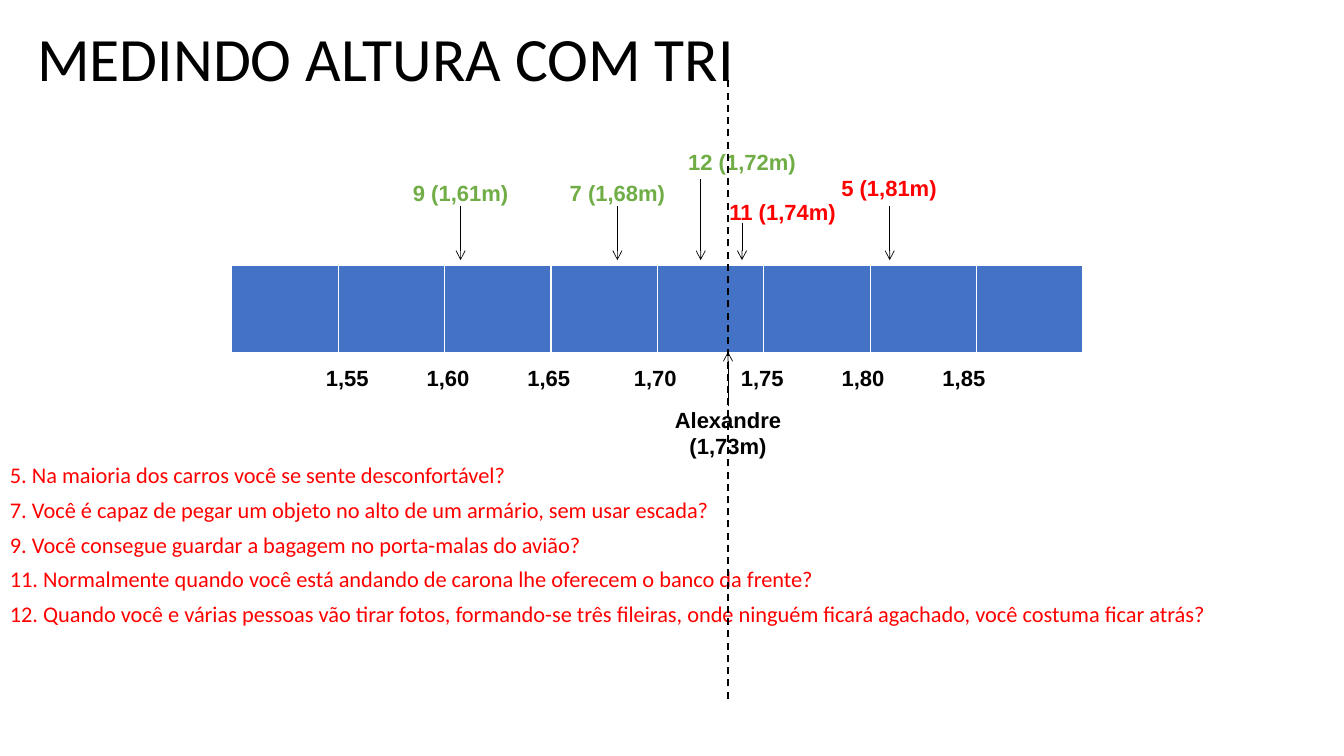
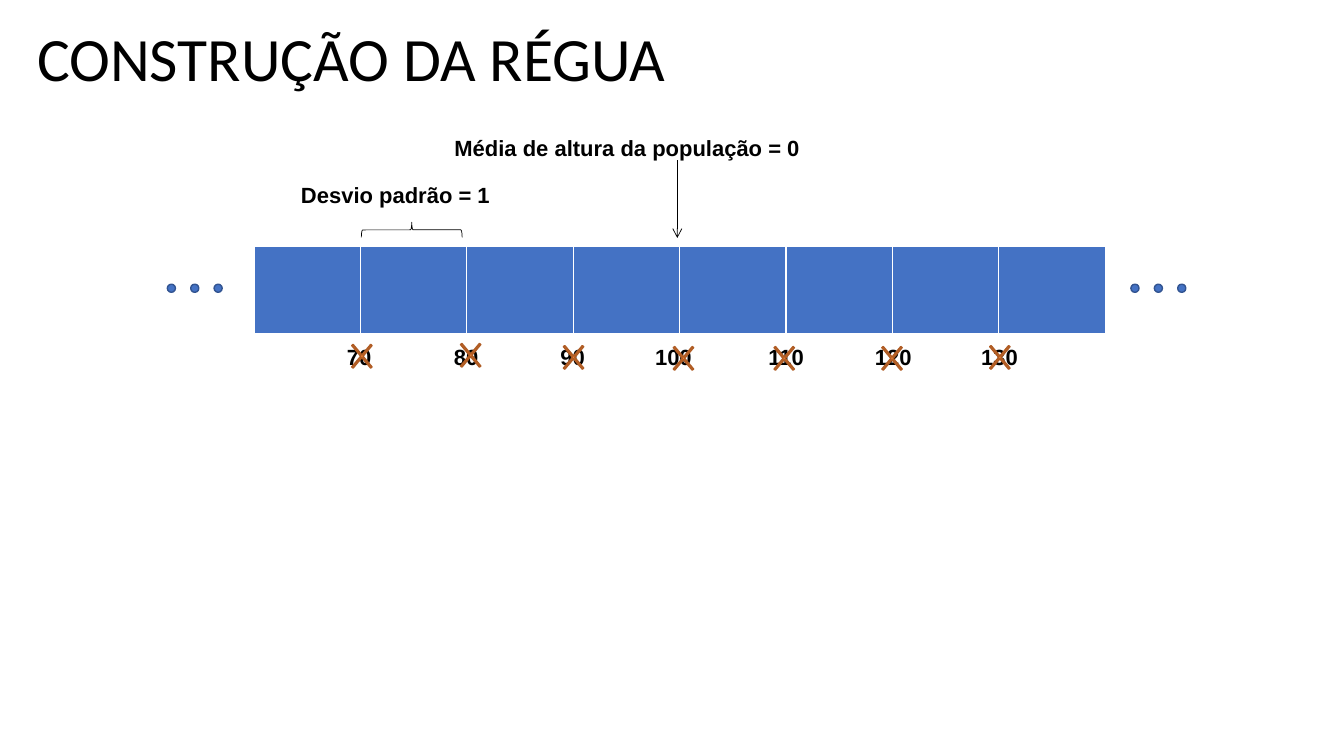
from pptx import Presentation
from pptx.dml.color import RGBColor
from pptx.enum.dml import MSO_LINE
from pptx.enum.shapes import MSO_CONNECTOR, MSO_SHAPE
from pptx.enum.text import MSO_ANCHOR, MSO_AUTO_SIZE, PP_ALIGN as ALIGN
from pptx.oxml.ns import qn
from pptx.util import Pt
from lxml.etree import SubElement

COLORS = {name: RGBColor.from_string(value) for name, value in {
    "black": "000000", "red": "FF0000", "green": "70AD47",
    "blue": "4472C4", "dark_blue": "325491",
    "orange": "ED7D31", "dark_orange": "AF5C24",
}.items()}

CELL_COUNT, CELL_WIDTH, RULER_HEIGHT = 8, 76, 62.6
LABEL_HEIGHT = 26


def write_text(slide, text, left, top, width, height, holder=None, font="Arial",
               size=15.7, bold=True, color="black", align=ALIGN.CENTER,
               anchor=MSO_ANCHOR.TOP, line_spacing=1.0, space_before=0):
    """Fill a placeholder, or a new text box, with one paragraph per line."""
    box = holder or slide.shapes.add_textbox(0, 0, 0, 0)
    box.left, box.top, box.width, box.height = map(Pt, (left, top, width, height))
    frame = box.text_frame
    frame.text = text
    frame.word_wrap = True
    frame.auto_size = MSO_AUTO_SIZE.NONE
    frame.vertical_anchor = anchor
    for number, paragraph in enumerate(frame.paragraphs):
        paragraph.alignment = align
        paragraph.line_spacing = line_spacing
        paragraph.space_before = Pt(space_before if number else 0)
        paragraph.font.name = font
        paragraph.font.size = Pt(size)
        paragraph.font.bold = bold
        paragraph.font.color.rgb = COLORS[color]


def add_vertical_line(slide, x, start, end, width=0.5, dash=None, arrow=True):
    line = slide.shapes.add_connector(
        MSO_CONNECTOR.STRAIGHT, Pt(x), Pt(start), Pt(x), Pt(end))
    line.line.color.rgb = COLORS["black"]
    line.line.width = Pt(width)
    if dash:
        line.line.dash_style = dash
    properties = line._element.spPr
    if arrow:
        SubElement(properties.find(qn("a:ln")), qn("a:tailEnd"), type="arrow")
    SubElement(properties, qn("a:effectLst"))


presentation = Presentation()
presentation.slide_width, presentation.slide_height = Pt(960), Pt(540)

# Title, ruler and scale of each slide: the scale pairs a label with its centre
slide_plans = [
    ("MEDINDO ALTURA COM TRI", 165.6, 189.4, 257,
     [("1,55", 248), ("1,60", 320), ("1,65", 392), ("1,70", 468),
      ("1,75", 544.5), ("1,80", 616.5), ("1,85", 688.5)]),
    ("CONSTRUÇÃO DA RÉGUA", 181.4, 175.7, 242,
     [("70", 256.5), ("80", 333), ("90", 409), ("100", 481),
      ("110", 561.5), ("120", 638), ("130", 714)]),
]
slides = []
for title, ruler_left, ruler_top, scale_top, scale in slide_plans:
    slide = presentation.slides.add_slide(presentation.slide_layouts[5])
    slides.append(slide)
    write_text(slide, title, 19.4, 15.8, 921.6, 56.9, holder=slide.shapes.title,
               font="Calibri", size=44, bold=False, align=ALIGN.LEFT,
               anchor=MSO_ANCHOR.MIDDLE, line_spacing=0.9)
    ruler = slide.shapes.add_table(
        1, CELL_COUNT, Pt(ruler_left), Pt(ruler_top),
        Pt(CELL_COUNT * CELL_WIDTH), Pt(RULER_HEIGHT)).table
    for cell in ruler.iter_cells():
        cell.fill.solid()
        cell.fill.fore_color.rgb = COLORS["blue"]
    for label, center in scale:
        write_text(slide, label, center - 30, scale_top, 60, LABEL_HEIGHT)
height_slide, ruler_slide = slides

# Slide 1: questions
questions = [
    "5. Na maioria dos carros você se sente desconfortável?",
    "7. Você é capaz de pegar um objeto no alto de um armário, sem usar escada?",
    "9. Você consegue guardar a bagagem no porta-malas do avião?",
    "11. Normalmente quando você está andando de carona lhe oferecem o banco da frente?",
    "12. Quando você e várias pessoas vão tirar fotos, formando-se três fileiras, "
    "onde ninguém ficará agachado, você costuma ficar atrás?",
]
write_text(height_slide, "\n".join(questions), 0, 328.3, 945.4, 124.6,
           font="Calibri", size=16, bold=False, color="red", align=ALIGN.JUSTIFY,
           line_spacing=0.9, space_before=7.5)

# Slide 1: items above the ruler (label, colour, label centre, top, arrow x, arrow start)
items = [
    ("9 (1,61m)", "green", 329, 124.6, 329, 147),
    ("7 (1,68m)", "green", 441, 124.6, 441, 147),
    ("12 (1,72m)", "green", 530, 102.2, 500.5, 128),
    ("11 (1,74m)", "red", 559, 138.2, 530, 159),
    ("5 (1,81m)", "red", 635, 121, 635.5, 147),
]
for label, color, center, top, arrow_x, arrow_start in items:
    write_text(height_slide, label, center - 55, top, 110, LABEL_HEIGHT, color=color)
    add_vertical_line(height_slide, arrow_x, arrow_start, 185.8)

# Slide 1: the person measured
person_x = 520
add_vertical_line(height_slide, person_x, 290, 251.3)
write_text(height_slide, "Alexandre\n(1,73m)", person_x - 55, 286.6, 110, 45.4)
add_vertical_line(height_slide, person_x, 499, 54.7, width=1.25,
                  dash=MSO_LINE.DASH, arrow=False)

# Slide 2: mean and standard deviation
write_text(ruler_slide, "Desvio padrão = 1", 202.5, 126, 160, LABEL_HEIGHT)
write_text(ruler_slide, "Média de altura da população = 0", 308, 92.2, 280, LABEL_HEIGHT)
add_vertical_line(ruler_slide, 483.8, 114.5, 170)
brace = ruler_slide.shapes.add_shape(
    MSO_SHAPE.LEFT_BRACE, Pt(288.7), Pt(128.2), Pt(10.8), Pt(72))
brace.rotation = 90
brace.shadow.inherit = False
brace.fill.background()
brace.line.color.rgb = COLORS["black"]
brace.line.width = Pt(0.5)

# Slide 2: dots beside the ruler and crosses over the scale
marks = [(MSO_SHAPE.OVAL, start + 16.7 * step, 203, 5.8, 5.8, "blue")
         for start in (119.5, 807.8) for step in range(3)]
marks += [(MSO_SHAPE.MATH_MULTIPLY, center - 13, top, 26, 31, "orange")
          for center, top in [(258.5, 239), (336.2, 238.3), (409.7, 239.8),
                              (488.2, 240.5), (560.2, 240.5), (637.2, 240.5),
                              (714.2, 239.8)]]
for kind, left, top, width, height, color in marks:
    mark = ruler_slide.shapes.add_shape(kind, Pt(left), Pt(top), Pt(width), Pt(height))
    if kind == MSO_SHAPE.MATH_MULTIPLY:
        mark.adjustments[0] = 0.05
    mark.shadow.inherit = False
    mark.fill.solid()
    mark.fill.fore_color.rgb = COLORS[color]
    mark.line.color.rgb = COLORS["dark_" + color]
    mark.line.width = Pt(1)

presentation.save("out.pptx")
